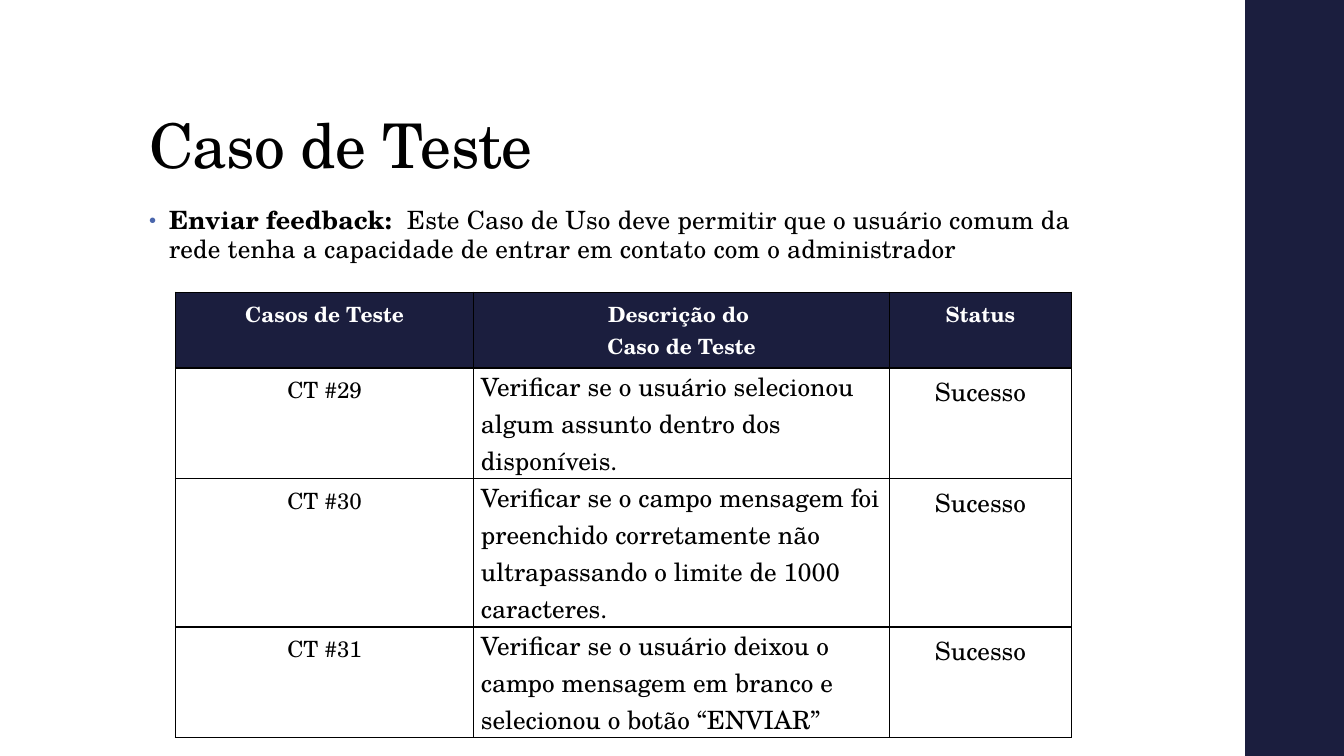
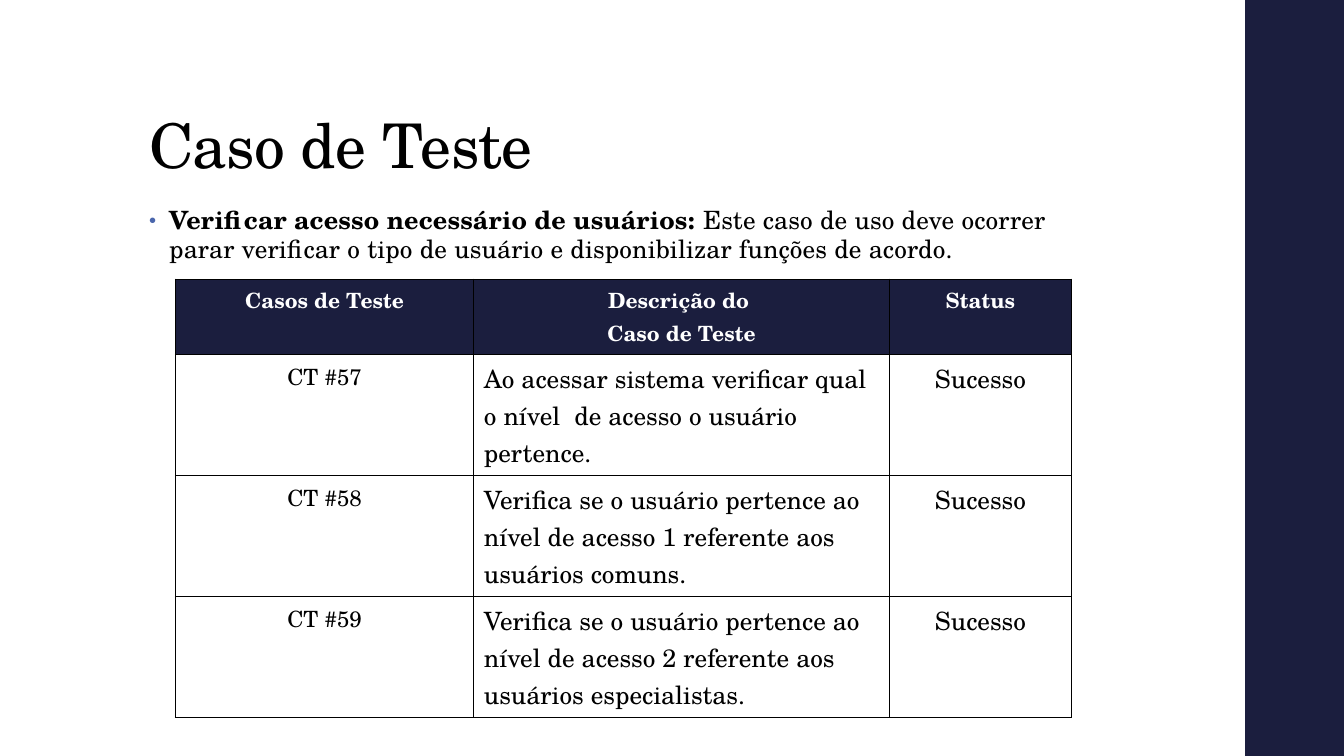
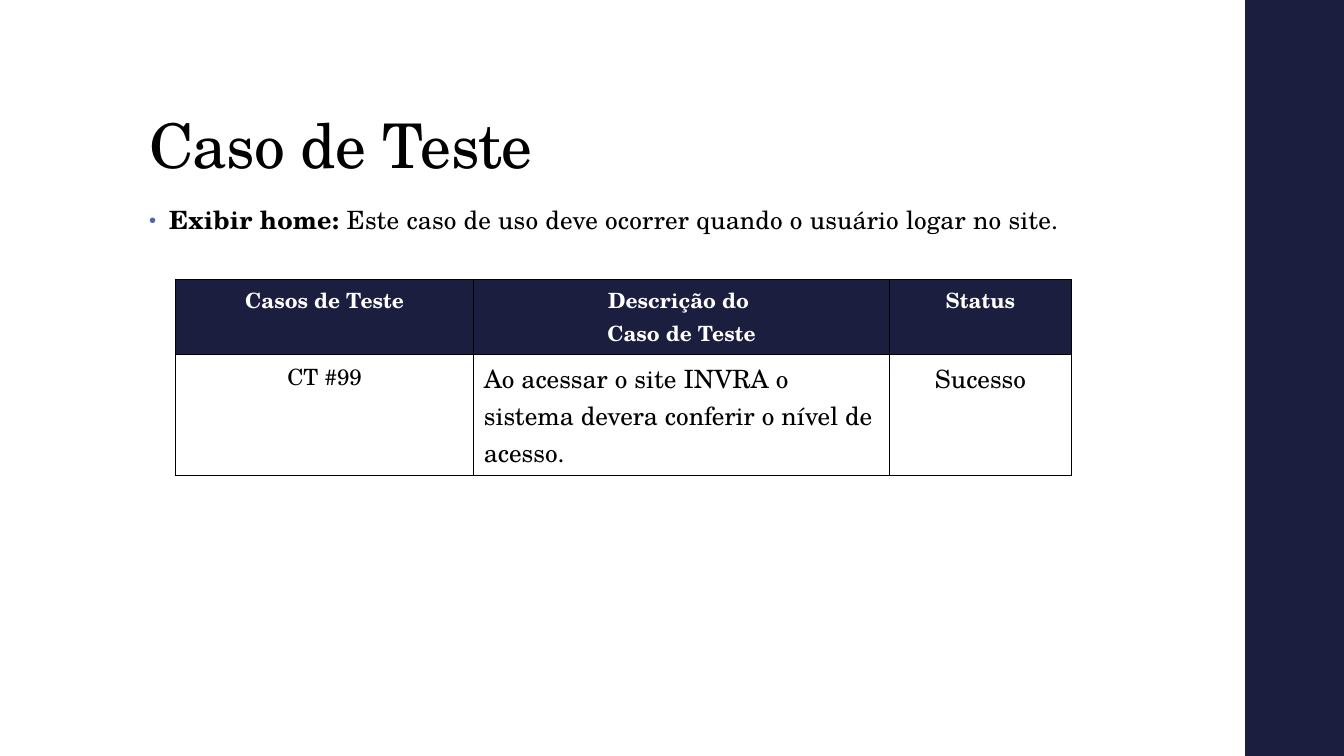
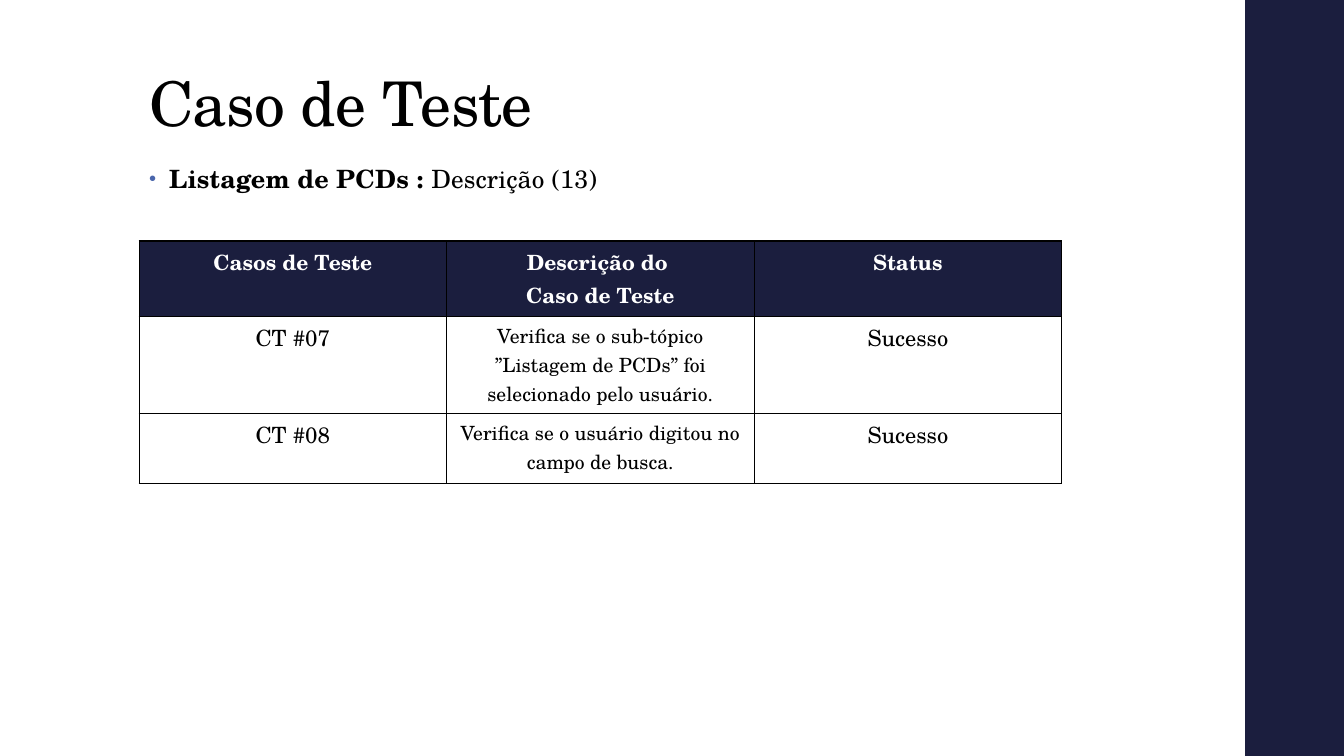
from pptx import Presentation
from pptx.dml.color import RGBColor
from pptx.enum.shapes import MSO_SHAPE as Shape
from pptx.enum.text import MSO_ANCHOR as Anchor, PP_ALIGN as Align
from pptx.oxml import parse_xml
from pptx.oxml.ns import nsdecls
from pptx.util import Inches, Pt

NAVY = RGBColor(0x1B, 0x1E, 0x3E)
BLUE = RGBColor(0x4A, 0x66, 0xAC)
BLACK = RGBColor(0, 0, 0)
WHITE = RGBColor(0xFF, 0xFF, 0xFF)
FONT = "TeX Gyre Schola"

LEFT = 1.38
TABLE_LEFT = 1.74
WIDE_COLUMNS = (2.96, 4.12, 1.81)
EQUAL_COLUMNS = (3.05, 3.05, 3.05)
HEADER_HEIGHT = 0.75
HEADINGS = ("Casos de Teste", "Descrição do \nCaso de Teste", "Status")


def write(frame, *spans, size, color=BLACK, bold=False, align=Align.LEFT,
          line_spacing=None, tracking=0, bullet=False):
    """Write (text, bold) pairs or plain strings; a line break starts a new paragraph."""
    para = frame.paragraphs[0]
    paras = [para]
    for span in spans:
        text, heavy = (span, bold) if isinstance(span, str) else span
        for number, line in enumerate(text.split("\n")):
            if number:
                para = frame.add_paragraph()
                paras.append(para)
            run = para.add_run()
            run.text = line
            run.font.name = FONT
            run.font.size = Pt(size)
            run.font.bold = heavy
            run.font.color.rgb = color
            if tracking:
                run.font._element.set("spc", str(round(tracking * 100)))
    for para in paras:
        para.alignment = align
        if bullet:
            add_bullet(para)
        if line_spacing:
            para.line_spacing = line_spacing


def add_bullet(para):
    props = para._p.get_or_add_pPr()
    indent = Inches(0.2)
    props.set("marL", str(indent))
    props.set("indent", str(-indent))
    for xml in (f'<a:buClr {nsdecls("a")}><a:srgbClr val="{BLUE}"/></a:buClr>',
                f'<a:buSzPct {nsdecls("a")} val="80000"/>',
                f'<a:buFont {nsdecls("a")} typeface="Arial"/>',
                f'<a:buChar {nsdecls("a")} char="•"/>'):
        props.append(parse_xml(xml))


def add_text_box(page, left, top, width, height, *spans, anchor=Anchor.TOP, **style):
    box = page.shapes.add_textbox(Inches(left), Inches(top), Inches(width), Inches(height))
    frame = box.text_frame
    frame.word_wrap = True
    frame.vertical_anchor = anchor
    write(frame, *spans, **style)


def add_side_band(page):
    band = page.shapes.add_shape(Shape.RECTANGLE, Inches(12.35), 0, Inches(0.98), Inches(7.5))
    band.shadow.inherit = False
    band.fill.solid()
    band.fill.fore_color.rgb = NAVY
    band.line.fill.background()


def add_case_page(deck, name, description, rise=0):
    """Add a page with band, title and use case; rise moves the text up."""
    page = deck.slides.add_slide(deck.slide_layouts[6])
    add_side_band(page)
    add_text_box(page, LEFT, 1.03 - rise, 10.6, 0.82, "Caso de Teste", anchor=Anchor.BOTTOM,
                 size=44, line_spacing=0.9, tracking=-0.5)
    add_text_box(page, LEFT, 2 - rise, 9.4, 0.75, (name, True), (description, False),
                 size=18, line_spacing=0.95, tracking=0.1, bullet=True)
    return page


def style_cell(cell, fill):
    cell.fill.solid()
    cell.fill.fore_color.rgb = fill
    props = cell._tc.get_or_add_tcPr()
    for place, side in enumerate(("lnL", "lnR", "lnT", "lnB")):
        props.insert(place, parse_xml(
            f'<a:{side} {nsdecls("a")} w="{Pt(1)}"><a:solidFill>'
            f'<a:srgbClr val="{BLACK}"/></a:solidFill></a:{side}>'))


def add_case_table(page, top, cases, left=TABLE_LEFT, columns=WIDE_COLUMNS,
                   description_size=18, description_align=Align.LEFT, status_size=18,
                   tight=False):
    """Add the table of (number, row height, description) cases."""
    row_heights = [HEADER_HEIGHT] + [height for _, height, _ in cases]
    table = page.shapes.add_table(len(row_heights), len(columns), Inches(left), Inches(top),
                                  Inches(sum(columns)), Inches(sum(row_heights))).table
    for column, width in zip(table.columns, columns):
        column.width = Inches(width)
    for row, height in zip(table.rows, row_heights):
        row.height = Inches(height)

    for cell, heading in zip(table.rows[0].cells, HEADINGS):
        style_cell(cell, NAVY)
        write(cell.text_frame, heading, size=15, color=WHITE, bold=True, align=Align.CENTER)

    formats = ((16, Align.CENTER), (description_size, description_align),
               (status_size, Align.CENTER))
    for index, (number, _, description) in enumerate(cases, 1):
        cells = list(table.rows[index].cells)
        texts = (f"CT #{number}", description, "Sucesso")
        for cell, text, (size, align) in zip(cells, texts, formats):
            style_cell(cell, WHITE)
            write(cell.text_frame, text, size=size, align=align)
        if tight:
            cells[1].margin_left = cells[1].margin_right = Inches(0.07)
            cells[1].margin_top = cells[1].margin_bottom = 0


def main():
    deck = Presentation()
    deck.slide_width = Inches(13.33)
    deck.slide_height = Inches(7.5)

    page = add_case_page(
        deck, "Enviar feedback:  ",
        "Este Caso de Uso deve permitir que o usuário comum da rede tenha a capacidade "
        "de entrar em contato com o administrador")
    add_case_table(page, 2.9, [
        ("29", 1.1, "Verificar se o usuário selecionou algum assunto dentro dos disponíveis."),
        ("30", 1.47, "Verificar se o campo mensagem foi preenchido corretamente não "
                     "ultrapassando o limite de 1000 caracteres."),
        ("31", 1.1, "Verificar se o usuário deixou o campo mensagem em branco e "
                    "selecionou o botão “ENVIAR”"),
    ], tight=True)

    page = add_case_page(
        deck, "Verificar acesso necessário de usuários:",
        " Este caso de uso deve ocorrer parar verificar o tipo de usuário e "
        "disponibilizar funções de acordo.")
    add_case_table(page, 2.77, [
        ("57", 1.2, "Ao acessar sistema verificar qual o nível  de acesso o usuário pertence."),
        ("58", 1.2, "Verifica se o usuário pertence ao nível de acesso 1 referente aos "
                    "usuários comuns."),
        ("59", 1.2, "Verifica se o usuário pertence ao nível de acesso 2 referente aos "
                    "usuários especialistas."),
    ])

    page = add_case_page(deck, "Exibir home: ",
                         "Este caso de uso deve ocorrer quando o usuário logar no site.")
    add_case_table(page, 2.77, [
        ("99", 1.2, "Ao acessar o site INVRA o sistema devera conferir o nível de acesso."),
    ])

    page = add_case_page(deck, "Listagem de PCDs : ", "Descrição (13)", rise=0.41)
    add_case_table(page, 2.39, [
        ("07", 0.96, "Verifica se o sub-tópico ”Listagem de PCDs” foi selecionado pelo usuário."),
        ("08", 0.7, "Verifica se o usuário digitou no campo de busca."),
    ], left=LEFT, columns=EQUAL_COLUMNS,
        description_size=14, description_align=Align.CENTER, status_size=16)

    deck.save("out.pptx")


if __name__ == "__main__":
    main()
